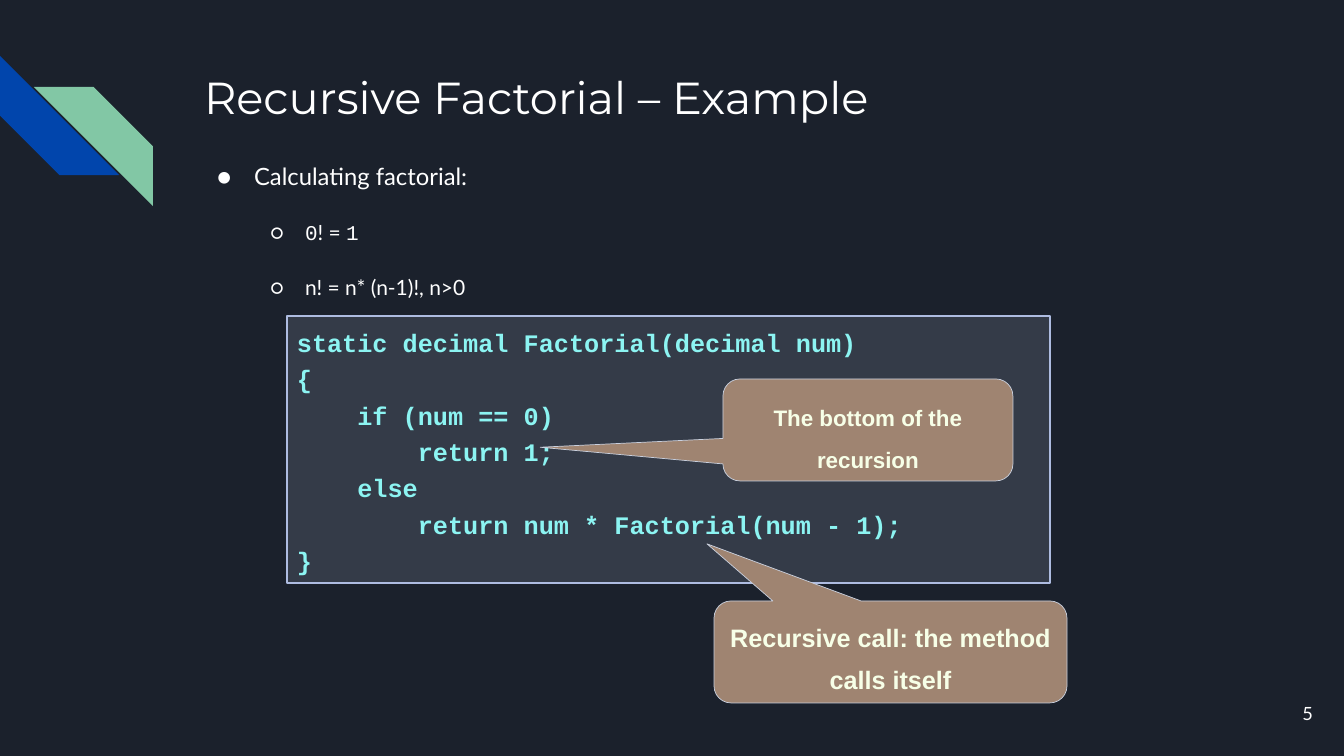
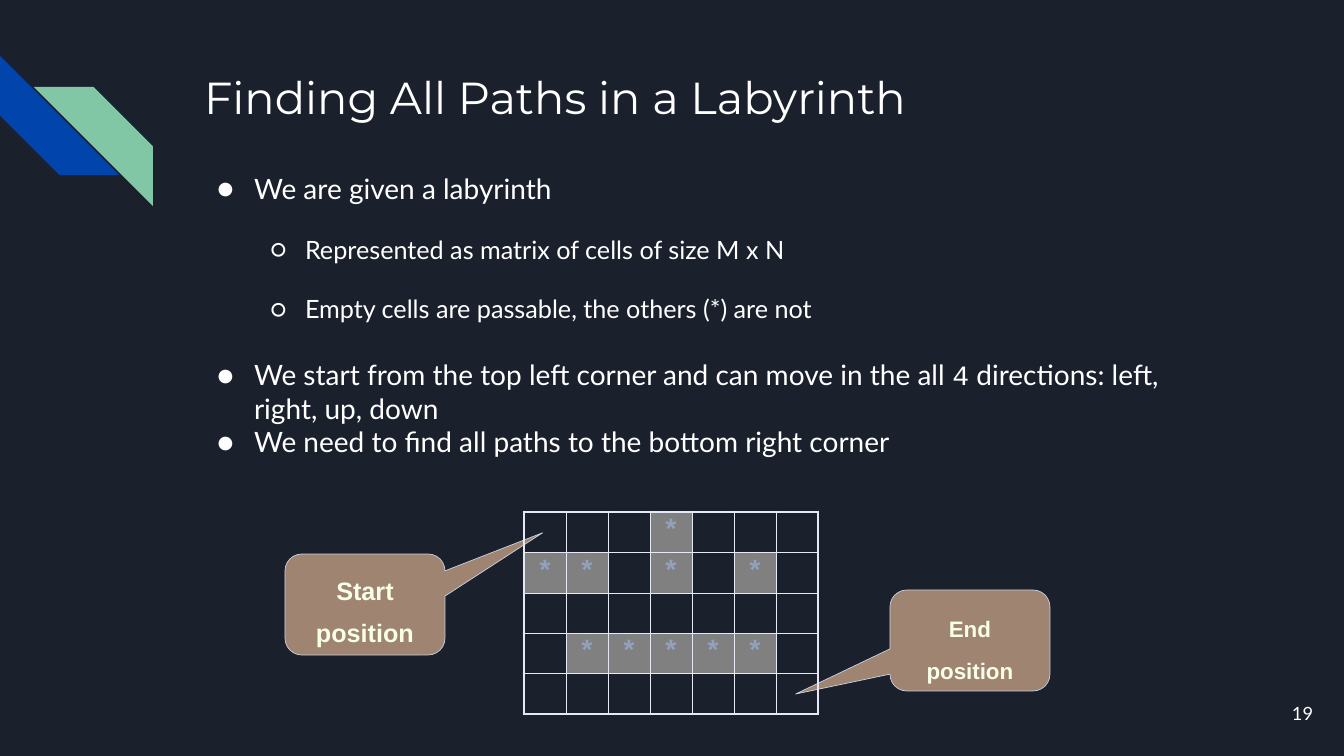
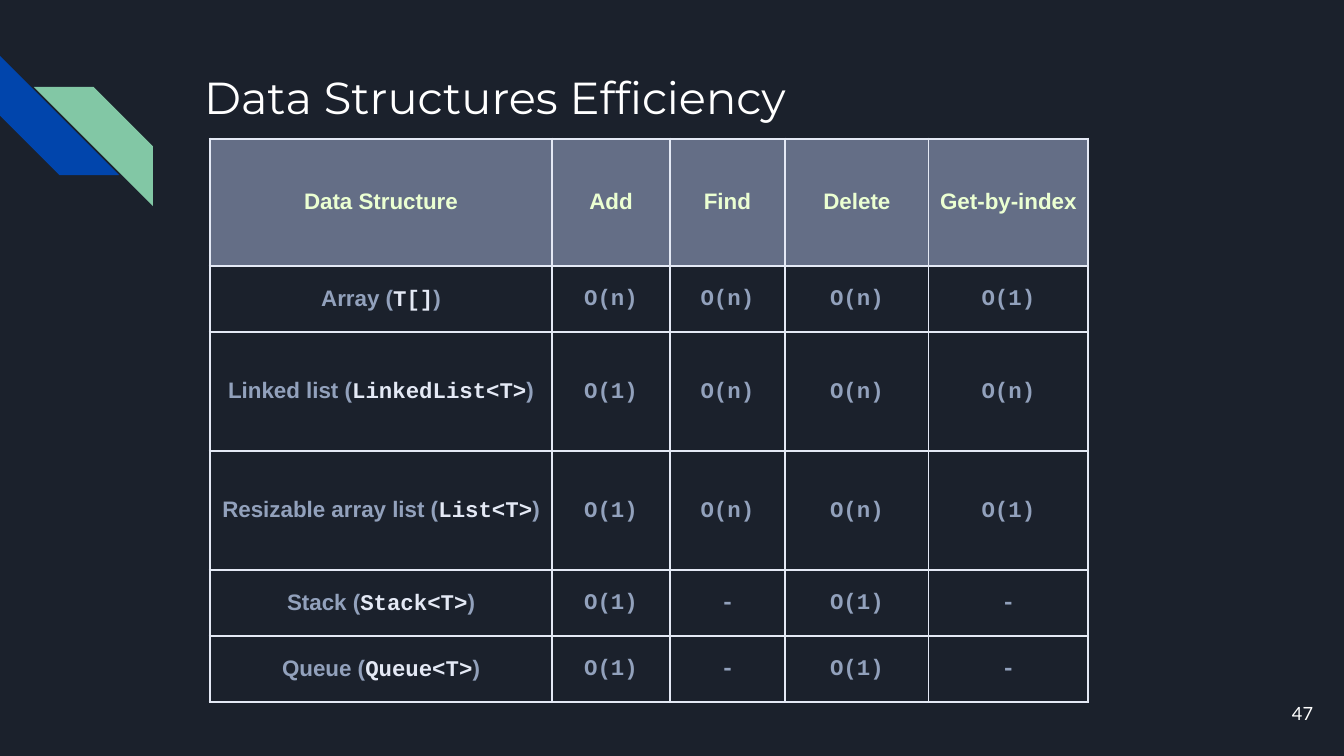
from lxml.etree import SubElement
from pptx import Presentation
from pptx.dml.color import RGBColor
from pptx.enum.shapes import MSO_SHAPE
from pptx.enum.text import MSO_ANCHOR, MSO_AUTO_SIZE, PP_ALIGN
from pptx.oxml.ns import qn
from pptx.util import Emu, Pt

# Shared colours and fonts
NAVY = RGBColor(0x1B, 0x21, 0x2C)
BLUE = RGBColor(0x01, 0x45, 0xAC)
GREEN = RGBColor(0x82, 0xC7, 0xA5)
WHITE = RGBColor(0xFF, 0xFF, 0xFF)
CODE_FILL = RGBColor(0xC9, 0xD3, 0xEB)
PERIWINKLE = RGBColor(0xAE, 0xBC, 0xE1)
CYAN = RGBColor(0x8C, 0xF4, 0xF2)
BROWN = RGBColor(0x9F, 0x84, 0x71)
CALLOUT_LINE = RGBColor(0xC9, 0xD0, 0xDE)
IVORY = RGBColor(0xF7, 0xFF, 0xE7)
LIME = RGBColor(0xEB, 0xFF, 0xD2)
PALE = RGBColor(0xE4, 0xE9, 0xF5)
SLATE = RGBColor(0x92, 0xA1, 0xBC)
GREY = RGBColor(0x80, 0x80, 0x80)
HEAD, BODY, SANS, MONO = "Montserrat", "Lato", "Arial", "Courier New"

# Shared geometry, in px
SLIDE_W, SLIDE_H = 1344, 756
INSET = 13
TITLE_BOX = (191, 57, 1034, 134)
NUMBER_BOX = (1245, 685, 81, 57)
STRIPE = 119
# Per bullet level: character, left margin, hanging indent, space before (pt)
LEVELS = (("●", 50, -37, 0), ("○", 101, -35, 21))


def px(n):
    return Emu(round(n * 914400 / 100.8))


def place(box):
    return [px(n) for n in box]


def add_run(p, text, size, font, color, bold=False):
    r = p.add_run()
    r.text = text
    r.font.size = Pt(size)
    r.font.name = font
    r.font.bold = bold
    r.font.color.rgb = color


def set_insets(tf):
    tf.margin_left = tf.margin_right = tf.margin_top = tf.margin_bottom = px(INSET)
    tf.word_wrap = True


def set_opacity(element, percent):
    color = element.find(".//" + qn("a:srgbClr"))
    SubElement(color, qn("a:alpha")).set("val", str(percent * 1000))


def add_panel(s, kind, box, fill, line=None, weight=0):
    sp = s.shapes.add_shape(kind, *place(box))
    sp.shadow.inherit = False
    sp.fill.solid()
    sp.fill.fore_color.rgb = fill
    if line is None:
        sp.line.fill.background()
    else:
        sp.line.color.rgb = line
        sp.line.width = Pt(weight)
    sp.text_frame.vertical_anchor = MSO_ANCHOR.TOP
    return sp


# Frame shared by all slides
def add_base(prs, title, number):
    s = prs.slides.add_slide(prs.slide_layouts[5])

    # Corner stripes
    blue = add_panel(s, MSO_SHAPE.DIAGONAL_STRIPE, (0, 56, STRIPE, STRIPE), BLUE)
    blue.rotation = 270
    green = add_panel(s, MSO_SHAPE.DIAGONAL_STRIPE, (34, 87, STRIPE, STRIPE), GREEN)
    green._element.spPr.find(qn("a:xfrm")).set("flipH", "1")

    # Title
    sp = s.shapes.title
    sp.left, sp.top, sp.width, sp.height = place(TITLE_BOX)
    tf = sp.text_frame
    set_insets(tf)
    tf.auto_size = MSO_AUTO_SIZE.NONE
    tf.vertical_anchor = MSO_ANCHOR.TOP
    p = tf.paragraphs[0]
    p.alignment = PP_ALIGN.LEFT
    add_run(p, title, 32, HEAD, WHITE)

    # Slide number
    tf = s.shapes.add_textbox(*place(NUMBER_BOX)).text_frame
    set_insets(tf)
    tf.vertical_anchor = MSO_ANCHOR.MIDDLE
    p = tf.paragraphs[0]
    p.alignment = PP_ALIGN.RIGHT
    add_run(p, number, 13, BODY, WHITE)
    return s


def add_bullets(s, box, sizes, items):
    """Items are (level, extra space before in pt, [(text, font), ...])."""
    tf = s.shapes.add_textbox(*place(box)).text_frame
    set_insets(tf)
    for i, (level, gap, runs) in enumerate(items):
        p = tf.paragraphs[0] if i == 0 else tf.add_paragraph()
        char, margin, hang, before = LEVELS[level]
        p.level = level
        p.space_before = Pt(before + gap)
        pPr = p._p.get_or_add_pPr()
        pPr.set("marL", str(px(margin)))
        pPr.set("indent", str(px(hang)))
        color = SubElement(pPr, qn("a:buClr"))
        SubElement(color, qn("a:srgbClr")).set("val", str(WHITE))
        SubElement(pPr, qn("a:buFont")).set("typeface", BODY)
        SubElement(pPr, qn("a:buChar")).set("char", char)
        for text, font in runs:
            add_run(p, text, sizes[level], font, WHITE)


def add_code(s, box, lines):
    sp = add_panel(s, MSO_SHAPE.RECTANGLE, box, CODE_FILL, PERIWINKLE, 1)
    set_opacity(sp._element.spPr, 15)
    tf = sp.text_frame
    tf.word_wrap = True
    for i, line in enumerate(lines):
        p = tf.paragraphs[0] if i == 0 else tf.add_paragraph()
        p.alignment = PP_ALIGN.LEFT
        p.line_spacing = Pt(26)
        add_run(p, line, 18, MONO, CYAN, bold=True)


def add_callout(s, box, tip, text, size):
    """Tip is the pointer's offset from the centre, as a share of the box."""
    sp = add_panel(s, MSO_SHAPE.ROUNDED_RECTANGULAR_CALLOUT, box,
                   BROWN, CALLOUT_LINE, 0.5)
    sp.adjustments[0], sp.adjustments[1] = tip
    tf = sp.text_frame
    tf.word_wrap = True
    p = tf.paragraphs[0]
    p.alignment = PP_ALIGN.CENTER
    p.line_spacing = Pt(30)
    add_run(p, text, size, SANS, IVORY, bold=True)


# Tables
def add_grid(s, box, col_widths, row_heights):
    table = s.shapes.add_table(len(row_heights), len(col_widths), *place(box)).table
    table.first_row = table.horz_banding = False
    for col, width in zip(table.columns, col_widths):
        col.width = px(width)
    for row, height in zip(table.rows, row_heights):
        row.height = px(height)
    for cell in table.iter_cells():
        cell.fill.background()
        cell.vertical_anchor = MSO_ANCHOR.MIDDLE
    return table


def set_borders(table, thin, thick_rules):
    """Outer sides are thick, and so are the horizontal rules listed."""
    last = len(table.columns)
    for i, row in enumerate(table.rows):
        for j, cell in enumerate(row.cells):
            tcPr = cell._tc.get_or_add_tcPr()
            edges = (("L", j == 0), ("R", j + 1 == last),
                     ("T", i in thick_rules), ("B", i + 1 in thick_rules))
            for at, (side, thick) in enumerate(edges):
                ln = SubElement(tcPr, qn("a:ln" + side))
                ln.set("w", str(Pt(2.25 if thick else thin)))
                fill = SubElement(ln, qn("a:solidFill"))
                SubElement(fill, qn("a:srgbClr")).set("val", str(PALE))
                tcPr.insert(at, ln)


def add_labyrinth(s, box, rows):
    n_rows, n_cols = len(rows), len(rows[0])
    table = add_grid(s, box, [box[2] / n_cols] * n_cols, [box[3] / n_rows] * n_rows)
    for i, row in enumerate(rows):
        for j, mark in enumerate(row):
            cell = table.cell(i, j)
            cell.margin_left = cell.margin_right = px(4)
            cell.margin_top = cell.margin_bottom = 0
            if mark == "*":
                cell.fill.solid()
                cell.fill.fore_color.rgb = GREY
                p = cell.text_frame.paragraphs[0]
                p.alignment = PP_ALIGN.CENTER
                p.space_before = Pt(6)
                add_run(p, mark, 20, MONO, SLATE, bold=True)
    set_borders(table, 0.25, {0, n_rows})


def add_efficiency_table(s, box, col_widths, row_heights, header, rows):
    table = add_grid(s, box, col_widths, row_heights)

    def write(i, j, runs):
        p = table.cell(i, j).text_frame.paragraphs[0]
        p.alignment = PP_ALIGN.CENTER
        p.line_spacing = 0.95
        for text, font, color in runs:
            add_run(p, text, 16, font, color, bold=True)

    for j, text in enumerate(header):
        cell = table.cell(0, j)
        cell.fill.solid()
        cell.fill.fore_color.rgb = PERIWINKLE
        set_opacity(cell._tc.tcPr, 50)
        write(0, j, [(text, SANS, LIME)])
    for i, (name, type_name, *costs) in enumerate(rows, 1):
        write(i, 0, [(name + " (", SANS, SLATE), (type_name, MONO, PALE),
                     (")", SANS, SLATE)])
        for j, cost in enumerate(costs, 1):
            write(i, j, [(cost, MONO, SLATE)])
    set_borders(table, 1, {0, 1})


# Slides
def factorial_slide(prs):
    s = add_base(prs, "Recursive Factorial – Example", "5")
    add_bullets(s, (191, 149, 1034, 566), (17, 15), [
        (0, 0, [("Calculating factorial:", BODY)]),
        (1, 0, [("0", MONO), ("! = ", BODY), ("1", MONO)]),
        (1, 0, [("n! = n* (n-1)!, n>0", BODY)]),
    ])
    add_code(s, (287, 316, 763, 267), [
        "static decimal Factorial(decimal num)",
        "{",
        "    if (num == 0)",
        "        return 1;",
        "    else",
        "        return num * Factorial(num - 1);",
        "}",
    ])
    add_callout(s, (723, 379, 290, 102), (-1.13, 0.17),
                "The bottom of the recursion", 16)
    add_callout(s, (714, 601, 353, 102), (-0.52, -1.06),
                "Recursive call: the method calls itself", 18)


def labyrinth_slide(prs):
    s = add_base(prs, "Finding All Paths in a Labyrinth", "19")
    add_bullets(s, (191, 158, 1034, 500), (20, 18), [
        (0, 0, [("We are given a labyrinth", BODY)]),
        (1, 0, [("Represented as matrix of cells of size M x N", BODY)]),
        (1, 0, [("Empty cells are passable, the others (*) are not", BODY)]),
        (0, 24, [("We start from the top left corner and can move in the all ", BODY),
                 ("4", MONO), (" directions: left, right, up, down", BODY)]),
        (0, 0, [("We need to find all paths to the bottom right corner", BODY)]),
    ])
    add_callout(s, (285, 554, 160, 101), (1.11, -0.71), "Start position", 18)
    add_callout(s, (890, 590, 160, 101), (-1.09, 0.53), "End position", 16)
    add_labyrinth(s, (524, 512, 294, 202), [
        "...*...",
        "**.*.*.",
        ".......",
        ".*****.",
        ".......",
    ])


def efficiency_slide(prs):
    s = add_base(prs, "Data Structures Efficiency", "47")
    add_efficiency_table(
        s, (210, 139, 878, 563),
        (342, 118, 115, 144, 159), (127, 66, 119, 119, 66, 66),
        ("Data Structure", "Add", "Find", "Delete", "Get-by-index"), [
            ("Array", "T[]", "O(n)", "O(n)", "O(n)", "O(1)"),
            ("Linked list", "LinkedList<T>", "O(1)", "O(n)", "O(n)", "O(n)"),
            ("Resizable array list", "List<T>", "O(1)", "O(n)", "O(n)", "O(1)"),
            ("Stack", "Stack<T>", "O(1)", "-", "O(1)", "-"),
            ("Queue", "Queue<T>", "O(1)", "-", "O(1)", "-"),
        ])


def main():
    prs = Presentation()
    prs.slide_width, prs.slide_height = px(SLIDE_W), px(SLIDE_H)
    background = prs.slide_master.background.fill
    background.solid()
    background.fore_color.rgb = NAVY
    factorial_slide(prs)
    labyrinth_slide(prs)
    efficiency_slide(prs)
    prs.save("out.pptx")


if __name__ == "__main__":
    main()
